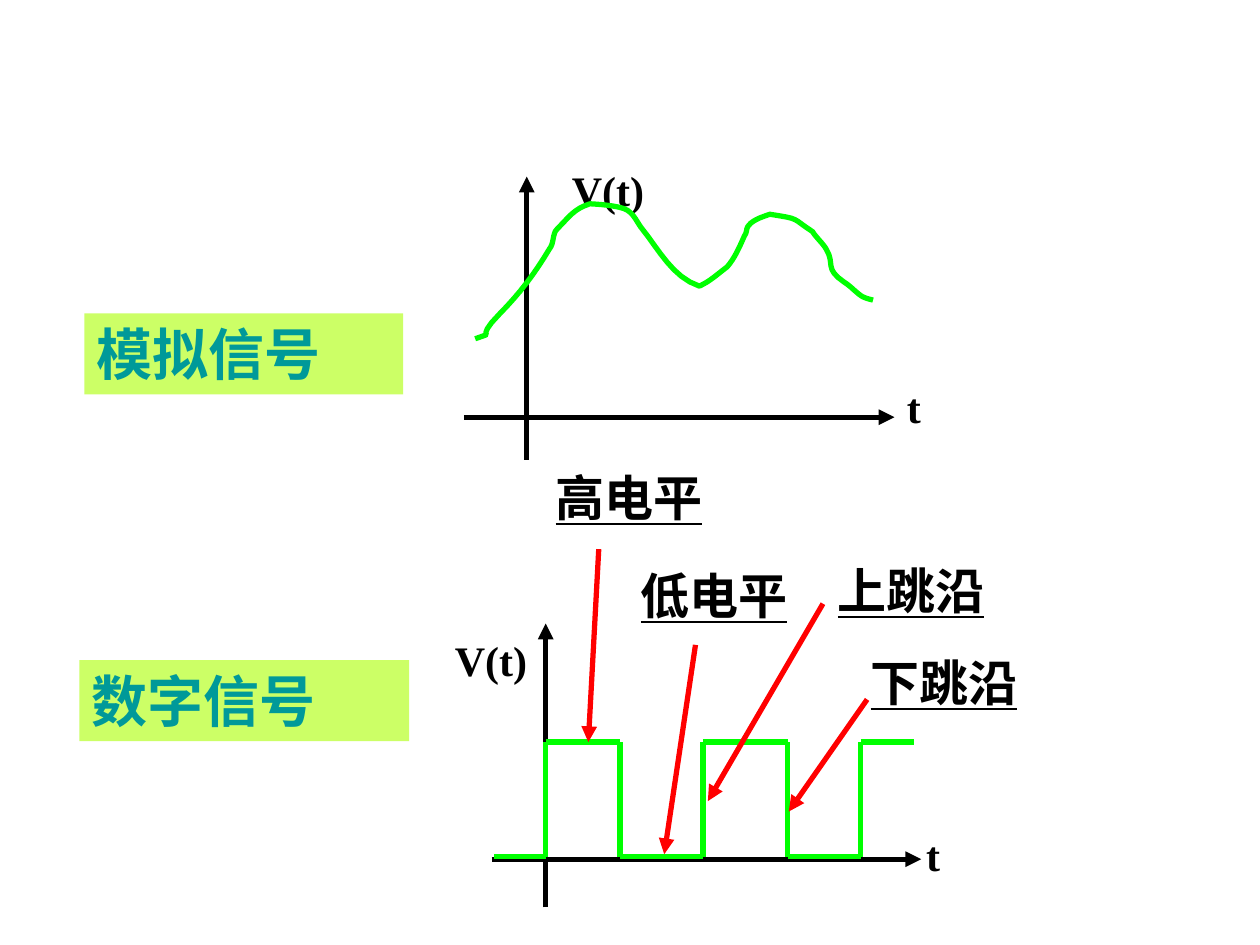
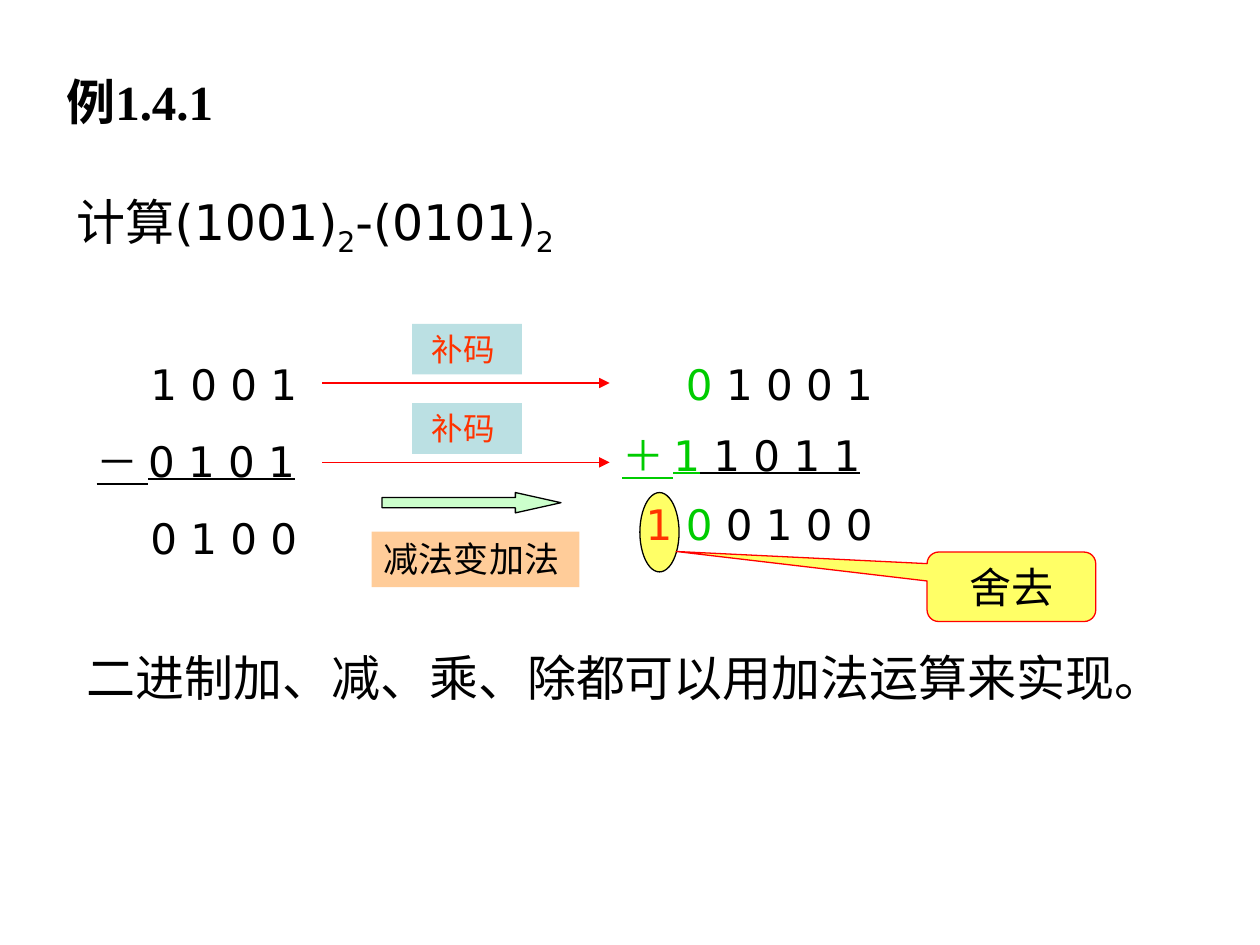
from itertools import pairwise

from lxml import etree
from pptx import Presentation
from pptx.dml.color import RGBColor
from pptx.enum import shapes, text
from pptx.oxml import ns
from pptx.util import Cm, Pt

BLACK = RGBColor(0x00, 0x00, 0x00)
RED = RGBColor(0xFF, 0x00, 0x00)
ORANGE_RED = RGBColor(0xFF, 0x33, 0x00)
SIGNAL_GREEN = RGBColor(0x00, 0xFF, 0x00)
DIGIT_GREEN = RGBColor(0x00, 0xCC, 0x00)
TEAL = RGBColor(0x00, 0x99, 0x99)
LIME = RGBColor(0xCC, 0xFF, 0x66)
YELLOW = RGBColor(0xFF, 0xFF, 0x66)
PALE_BLUE = RGBColor(0xBB, 0xE0, 0xE3)
PALE_GREEN = RGBColor(0xCC, 0xFF, 0xCC)
PEACH = RGBColor(0xFF, 0xCC, 0x99)

SERIF = {"name": "Times New Roman", "bold": True}
SANS = {"name": "DejaVu Sans"}
KIND = shapes.MSO_SHAPE


def box(sl, at, paras=(), fmt=None, kind=None, fill=None, line=None, adj=()):
    """Text box, or preset shape when kind is given.

    Each paragraph is a list of (text, format) runs, laid over fmt.
    """
    at = [Cm(v) for v in at]
    if kind is None:
        sp = sl.shapes.add_textbox(*at)
    else:
        sp = sl.shapes.add_shape(kind, *at)
        sp.shadow.inherit = False
        sp.fill.solid()
        sp.fill.fore_color.rgb = fill
        if line is None:
            sp.line.fill.background()
        else:
            sp.line.color.rgb = line
            sp.line.width = Pt(0.75)
        for i, value in enumerate(adj):
            sp.adjustments[i] = value
    tf = sp.text_frame
    tf.word_wrap = True
    tf.vertical_anchor = text.MSO_ANCHOR.TOP
    for i, runs in enumerate(paras):
        p = tf.add_paragraph() if i else tf.paragraphs[0]
        p.alignment = text.PP_ALIGN.LEFT
        for words, extra in runs:
            r = p.add_run()
            r.text = words
            for key, value in {"color": BLACK, **(fmt or {}), **extra}.items():
                if key == "color":
                    r.font.color.rgb = value
                elif key == "baseline":
                    r._r.get_or_add_rPr().set("baseline", value)
                else:
                    setattr(r.font, key, value)
    return sp


def connect(sl, start, end, color, width, arrow=True):
    """Straight line, with an arrowhead at its end if arrow is set."""
    c = sl.shapes.add_connector(shapes.MSO_CONNECTOR.STRAIGHT,
                                *[Cm(v) for v in (*start, *end)])
    c.line.color.rgb = color
    c.line.width = Pt(width)
    if arrow:
        etree.SubElement(c.line._get_or_add_ln(), ns.qn("a:tailEnd"), type="triangle")
    etree.SubElement(c._element.spPr, ns.qn("a:effectLst"))


prs = Presentation()
prs.slide_width, prs.slide_height = Cm(25.4), Cm(19.05)
blank = prs.slide_layouts[6]

# Slide 1: analog and digital signals
s = prs.slides.add_slide(blank)

axis_labels = [("t", 18.03, 7.57, 1.7), ("V(t)", 11.28, 3.2, 2.79),
               ("t", 18.42, 16.59, 1.7), ("V(t)", 8.92, 12.67, 2.16)]
for words, x, y, w in axis_labels:
    box(s, (x, y, w, 1.27), [[(words, {})]], {**SERIF, "size": Pt(24)})

axes = [((9.35, 8.41), (18.03, 8.41)), ((10.62, 9.27), (10.62, 3.56)),
        ((9.91, 17.32), (18.57, 17.32)), ((11, 18.29), (11, 12.57))]
for start, end in axes:
    connect(s, start, end, BLACK, 3)

# Each row: two control points and the end point of a cubic curve
curve_start = (9.58, 6.83)
curves = [
    ((10.08, 6.65), (9.5, 6.91), (10.08, 6.32)),
    ((10.46, 5.94), (10.8, 5.49), (11.07, 5.03)),
    ((11.18, 4.9), (11.13, 4.72), (11.23, 4.62)),
    ((11.48, 4.37), (11.56, 4.22), (11.89, 4.11)),
    ((11.94, 4.11), (12.5, 4.14), (12.65, 4.24)),
    ((12.8, 4.34), (12.85, 4.5), (12.95, 4.62)),
    ((13.28, 5.03), (13.56, 5.59), (14.1, 5.77)),
    ((14.33, 5.66), (14.45, 5.54), (14.66, 5.38)),
    ((14.81, 5.21), (14.91, 4.98), (15.01, 4.75)),
    ((15.06, 4.7), (15.04, 4.6), (15.09, 4.55)),
    ((15.19, 4.42), (15.39, 4.37), (15.52, 4.32)),
    ((16.15, 4.42), (15.95, 4.39), (16.38, 4.67)),
    ((16.46, 4.8), (16.59, 4.9), (16.66, 5.03)),
    ((16.84, 5.33), (16.61, 5.41), (17.02, 5.69)),
    ((17.15, 5.77), (17.25, 5.89), (17.37, 5.97)),
    ((17.45, 6.02), (17.6, 6.05), (17.6, 6.05)),
]
STEPS = 8
points, a = [], curve_start
for b, c, d in curves:
    for k in range(1, STEPS + 1):
        t = k / STEPS
        weights = ((1 - t) ** 3, 3 * t * (1 - t) ** 2, 3 * t * t * (1 - t), t ** 3)
        points.append([Cm(sum(w * pt[i] for w, pt in zip(weights, (a, b, c, d))))
                       for i in (0, 1)])
    a = d
builder = s.shapes.build_freeform(*[Cm(v) for v in curve_start])
builder.add_line_segments(points, close=False)
analog = builder.convert_to_shape()
analog.shadow.inherit = False
analog.fill.background()
analog.line.color.rgb = SIGNAL_GREEN
analog.line.width = Pt(3)

for words, x, y, w in [("模拟信号", 1.7, 6.32, 6.43), ("数字信号", 1.6, 13.31, 6.65)]:
    box(s, (x, y, w, 1.63), [[(words, {})]],
        {**SERIF, "size": Pt(32), "color": TEAL}, KIND.RECTANGLE, LIME)

# The pulse train changes level at every edge but the outer two ends
LOW, HIGH = 17.27, 14.96
edges = [9.96, 11, 12.5, 14.17, 15.88, 17.35, 18.42]
pulse = []
for i, (left, right) in enumerate(pairwise(edges)):
    level = HIGH if i % 2 else LOW
    pulse += [(left, level), (right, level)]
for start, end in pairwise(pulse):
    connect(s, start, end, SIGNAL_GREEN, 3, arrow=False)

callouts = [
    ("低电平", (12.67, 11.28, 3.66), (14.02, 13), (13.39, 17.22)),
    ("上跳沿", (16.64, 11.18, 3.61), (16.59, 12.17), (14.27, 16.15)),
    ("下跳沿", (17.3, 13.03, 3.81), (17.48, 14.1), (15.9, 16.36)),
    ("高电平", (10.95, 9.3, 4.01), (12.07, 11.07), (11.86, 14.96)),
]
for words, at, start, end in callouts:
    box(s, (*at, 1.45), [[(words, {})]], {**SERIF, "size": Pt(28), "underline": True})
    connect(s, start, end, RED, 3)

# Slide 2: subtraction turned into addition
s = prs.slides.add_slide(blank)
sans = {size: {**SANS, "size": Pt(size)} for size in (18, 20, 24, 28)}
green, orange = {"color": DIGIT_GREEN}, {"color": ORANGE_RED}
under, sub = {"underline": True}, {"baseline": "-25000"}

box(s, (12.9, 9.93, 0.79, 1.6), kind=KIND.OVAL, fill=YELLOW, line=BLACK)
sp = box(s, (18.69, 11.13, 3.4, 1.4), [[("舍去", {})]], sans[24],
         KIND.ROUNDED_RECTANGULAR_CALLOUT, YELLOW, RED, (-1.988, -0.509, 0.167))
sp.text_frame.paragraphs[0].alignment = text.PP_ALIGN.CENTER

box(s, (1.09, 1.32, 6.4, 1.45), [[("例1.4.1", {})]], {**SERIF, "size": Pt(28)})
box(s, (1.3, 3.73, 15.01, 1.6),
    [[("计算(1001)", {}), ("2", sub), ("-(0101)", {}), ("2", sub)]], sans[28])

sp = box(s, (1.7, 7.11, 5.59, 4.37),
         [[("1 0 0 1", {})], [("－ 0 1 0 1", under)], [("0 1 0 0", {})]], sans[24])
minuend, subtrahend, difference = sp.text_frame.paragraphs
for p in (minuend, difference):
    p._p.get_or_add_pPr().set("marL", str(Cm(1.08)))
for p in (subtrahend, difference):
    p.space_before = Pt(15)

for y in (7.72, 9.32):
    connect(s, (6.5, y), (12.29, y), RED, 0.75)
    box(s, (8.31, y - 1.19, 2.21, 1.02), [[(" 补码", orange)]], sans[18],
        KIND.RECTANGLE, PALE_BLUE)

sum_rows = [
    ((13.31, 7.11, 5), [(" 0", green), (" 1 0 0 1", {})]),
    ((12.29, 8.53, 5.99), [("＋ 1", {**green, **under}), (" 1 0 1 1", under)]),
    ((12.5, 9.93, 5.79), [(" 1 ", orange), ("0", green), (" 0 1 0 0", {})]),
]
for at, runs in sum_rows:
    box(s, (*at, 1.27), [runs], sans[24])

box(s, (1.5, 12.93, 23.01, 1.45),
    [[("二进制加、减、乘、除都可以用加法运算来实现。", {})]], sans[28])
box(s, (7.7, 9.93, 3.61, 0.41), kind=KIND.RIGHT_ARROW, fill=PALE_GREEN,
    line=BLACK, adj=(0.5, 2.243))
box(s, (7.49, 10.72, 4.19, 1.12), [[("减法变加法", {})]], sans[20],
    KIND.RECTANGLE, PEACH)

prs.save("out.pptx")
